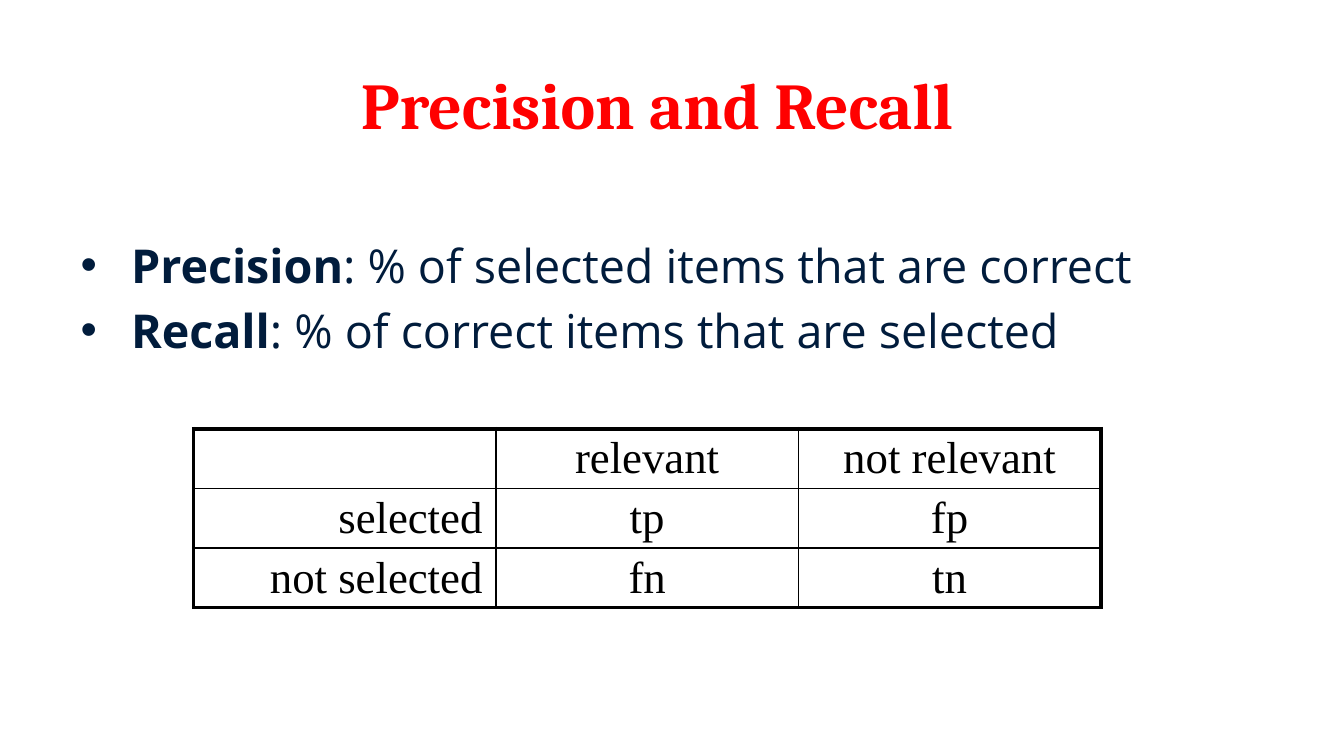
import pptx
import pptx.dml.color
import pptx.enum.text
import pptx.oxml
import pptx.oxml.ns
import pptx.util

Inches = pptx.util.Inches
Align = pptx.enum.text.PP_ALIGN


def format_run(run, font, size, color, bold=False):
    """Give a run its font, size in points, hex colour and weight."""
    run.font.name = font
    run.font.size = pptx.util.Pt(size)
    run.font.color.rgb = pptx.dml.color.RGBColor.from_string(color)
    run.font.bold = bold


def add_border(cell, side, width, color):
    """Draw one side (L, R, T or B) of a cell, width in points."""
    cell._tc.get_or_add_tcPr().append(pptx.oxml.parse_xml(
        f'<a:ln{side} {pptx.oxml.ns.nsdecls("a")} w="{pptx.util.Pt(width)}">'
        f'<a:solidFill><a:srgbClr val="{color}"/></a:solidFill></a:ln{side}>'))


# A 16:9 slide
presentation = pptx.Presentation()
presentation.slide_width = Inches(10)
presentation.slide_height = presentation.slide_width * 9 // 16
slide = presentation.slides.add_slide(presentation.slide_layouts[1])

# Title
title = slide.shapes.title
title.left, title.top, title.width, title.height = map(Inches, (0.28, 0.43, 9.22, 0.77))
title.text_frame.text = "Precision and Recall"
title.text_frame.auto_size = pptx.enum.text.MSO_AUTO_SIZE.NONE
title.text_frame.margin_bottom = Inches(0.14)
title.text_frame.paragraphs[0].alignment = Align.CENTER
format_run(title.text_frame.paragraphs[0].runs[0], "Cambria", 35, "FF0000", True)

# Definitions, bulleted by the layout
definitions = [
    ("Precision", ": % of selected items that are correct"),
    ("Recall", ": % of correct items that are selected"),
]
body = slide.placeholders[1]
body.left, body.top, body.width, body.height = map(Inches, (0.5, 1.71, 9, 2.09))
body.text_frame.auto_size = pptx.enum.text.MSO_AUTO_SIZE.NONE
body.text_frame.text = "\n".join(term for term, meaning in definitions)
for paragraph, (term, meaning) in zip(body.text_frame.paragraphs, definitions):
    paragraph.space_before = pptx.util.Pt(5)
    paragraph.add_run().text = meaning
    for run, bold in zip(paragraph.runs, (True, False)):
        format_run(run, "Open Sans", 25, "011C3C", bold)

# Confusion matrix: thick outer frame, thin inner lines
matrix = [
    ["", "relevant", "not relevant"],
    ["selected", "tp", "fp"],
    ["not selected", "fn", "tn"],
]
last = len(matrix) - 1
table = slide.shapes.add_table(
    3, 3, Inches(1.44), Inches(3.19), Inches(6.75), Inches(1.33)).table
for row_index, labels in enumerate(matrix):
    for column_index, label in enumerate(labels):
        cell = table.cell(row_index, column_index)
        cell.margin_top = Inches(0.04)
        cell.margin_bottom = Inches(0.02)
        outer_sides = {
            "L": column_index == 0, "R": column_index == last,
            "T": row_index == 0, "B": row_index == last,
        }
        for side, is_outer in outer_sides.items():
            add_border(cell, side, 2.25 if is_outer else 1, "000000")
        cell.fill.background()
        paragraph = cell.text_frame.paragraphs[0]
        paragraph.text = label
        paragraph.alignment = Align.RIGHT if column_index == 0 else Align.CENTER
        for run in paragraph.runs:
            format_run(run, "Times New Roman", 24, "000000")

presentation.save("out.pptx")
